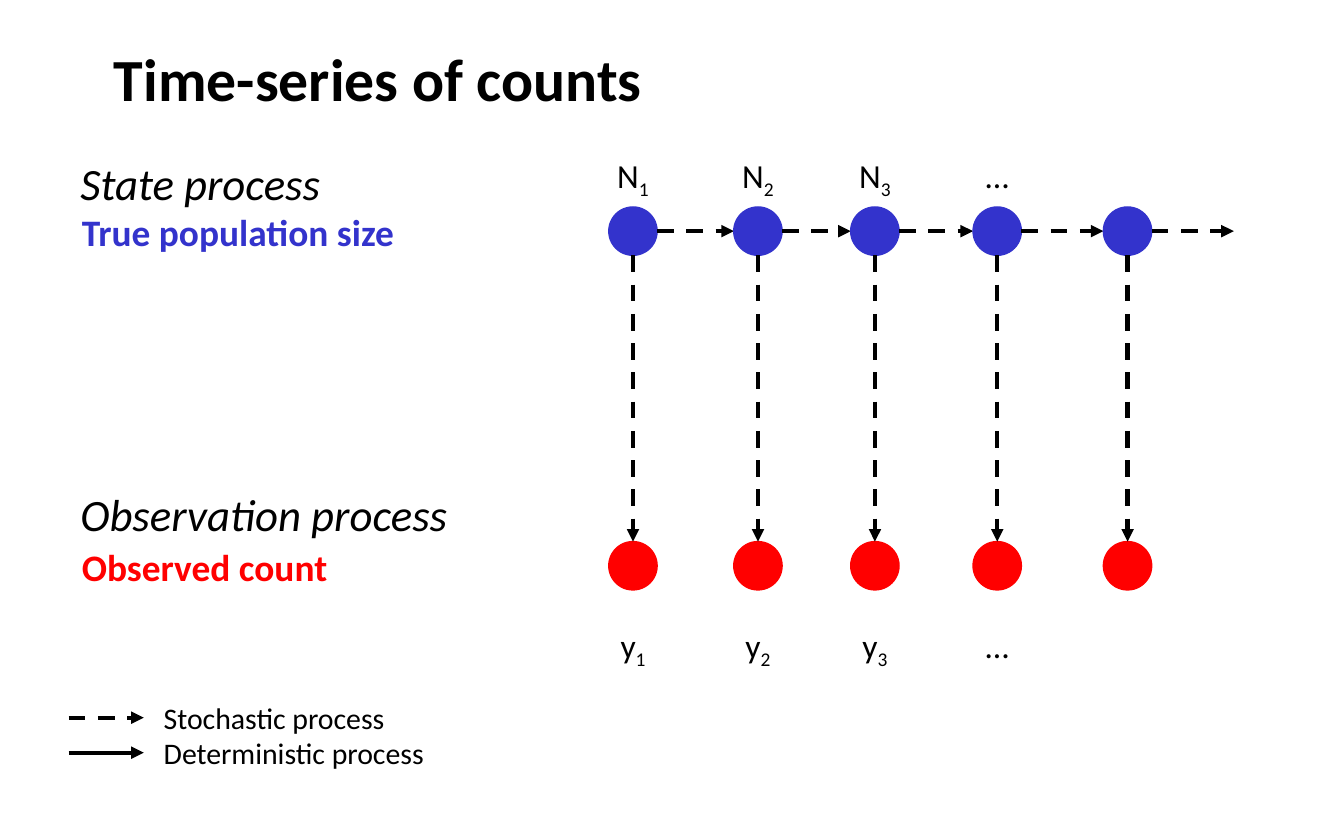
from lxml.etree import SubElement
from pptx import Presentation
from pptx.dml.color import RGBColor
from pptx.enum.dml import MSO_LINE_DASH_STYLE as Dash
from pptx.enum.shapes import MSO_CONNECTOR as Connector, MSO_SHAPE as Shape
from pptx.enum.text import MSO_ANCHOR as Anchor, PP_ALIGN as Align
from pptx.oxml.ns import qn
from pptx.util import Inches, Pt

BLACK, BLUE, RED = "000000", "3333CC", "FF0000"
TIME_CENTERS = [4.71, 5.64, 6.51, 7.42, 8.39]
LAST_ARROW_END = 9.18
STATE_Y, OBSERVED_Y = 1.72, 4.21
RADIUS = 0.18
LABEL_WIDTH = 0.45


def color(hex_string):
    return RGBColor.from_string(hex_string)


def add_text(slide, left, top, width, height, text, size, hex_color=BLACK,
             bold=False, italic=False, align=Align.LEFT, subscript=""):
    box = slide.shapes.add_textbox(
        Inches(left), Inches(top), Inches(width), Inches(height))
    box.text_frame.word_wrap = False
    paragraph = box.text_frame.paragraphs[0]
    paragraph.alignment = align
    font = paragraph.font
    font.name, font.size = "Calibri", Pt(size)
    font.bold, font.italic = bold, italic
    font.color.rgb = color(hex_color)
    paragraph.add_run().text = text
    if subscript:
        index = paragraph.add_run()
        index.text = subscript
        index._r.get_or_add_rPr().set("baseline", "-25000")
    return box


def add_node(slide, center_x, center_y, hex_color):
    node = slide.shapes.add_shape(
        Shape.OVAL, Inches(center_x - RADIUS), Inches(center_y - RADIUS),
        Inches(2 * RADIUS), Inches(2 * RADIUS))
    node.shadow.inherit = False
    node.fill.solid()
    node.fill.fore_color.rgb = color(hex_color)
    node.line.color.rgb = color(hex_color)
    node.line.width = Pt(0.75)


def add_arrow(slide, x1, y1, x2, y2, dashed=True):
    arrow = slide.shapes.add_connector(
        Connector.STRAIGHT, Inches(x1), Inches(y1), Inches(x2), Inches(y2))
    arrow.line.color.rgb = color(BLACK)
    arrow.line.width = Pt(2.25)
    if dashed:
        arrow.line.dash_style = Dash.DASH
    SubElement(arrow.line._get_or_add_ln(), qn("a:tailEnd"), type="triangle")
    SubElement(arrow._element.spPr, qn("a:effectLst"))


def add_headings(slide):
    title = add_text(slide, 0.75, 0.06, 8.5, 1.04,
                     "Time-series of counts", 32, bold=True)
    title.text_frame.word_wrap = True
    title.text_frame.vertical_anchor = Anchor.MIDDLE
    add_text(slide, 0.5, 1.11, 2.01, 0.5, "State process", 24, italic=True)
    add_text(slide, 0.51, 1.51, 2.55, 0.44, "True population size", 20,
             BLUE, bold=True)
    add_text(slide, 0.5, 3.57, 2.97, 0.5, "Observation process", 24,
             italic=True)
    add_text(slide, 0.51, 4, 2.05, 0.44, "Observed count", 20, RED, bold=True)


def add_time_series(slide):
    next_edges = [x - RADIUS for x in TIME_CENTERS[1:]] + [LAST_ARROW_END]
    for x, next_edge in zip(TIME_CENTERS, next_edges):
        add_node(slide, x, STATE_Y, BLUE)
        add_node(slide, x, OBSERVED_Y, RED)
        add_arrow(slide, x + RADIUS, STATE_Y, next_edge, STATE_Y)
        add_arrow(slide, x, STATE_Y + RADIUS, x, OBSERVED_Y - RADIUS)


def add_labels(slide):
    for symbol, top in (("N", 1.1), ("y", 4.6)):
        labels = [(symbol, "1"), (symbol, "2"), (symbol, "3"), ("…", "")]
        for x, (text, subscript) in zip(TIME_CENTERS, labels):
            add_text(slide, x - LABEL_WIDTH / 2, top, LABEL_WIDTH, 0.4, text,
                     18, align=Align.CENTER, subscript=subscript)


def add_legend(slide):
    entries = (("Stochastic process", 5.34, 1.87, True),
               ("Deterministic process", 5.6, 2.16, False))
    for text, y, width, dashed in entries:
        add_arrow(slide, 0.51, y, 1.07, y, dashed)
        add_text(slide, 1.12, y - 0.18, width, 0.37, text, 16)


def main():
    deck = Presentation()
    deck.slide_width, deck.slide_height = Inches(10), Inches(6.25)
    slide = deck.slides.add_slide(deck.slide_layouts[6])
    add_headings(slide)
    add_time_series(slide)
    add_labels(slide)
    add_legend(slide)
    deck.save("out.pptx")


if __name__ == "__main__":
    main()
